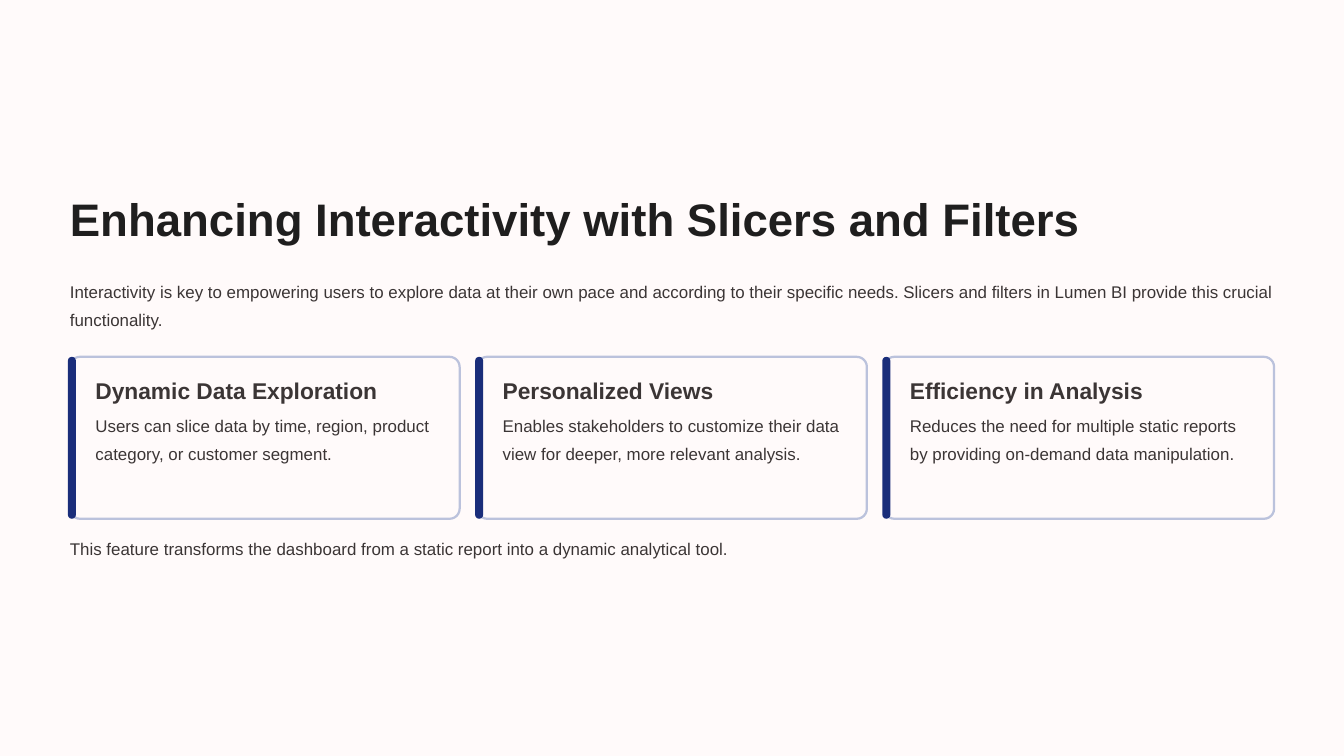
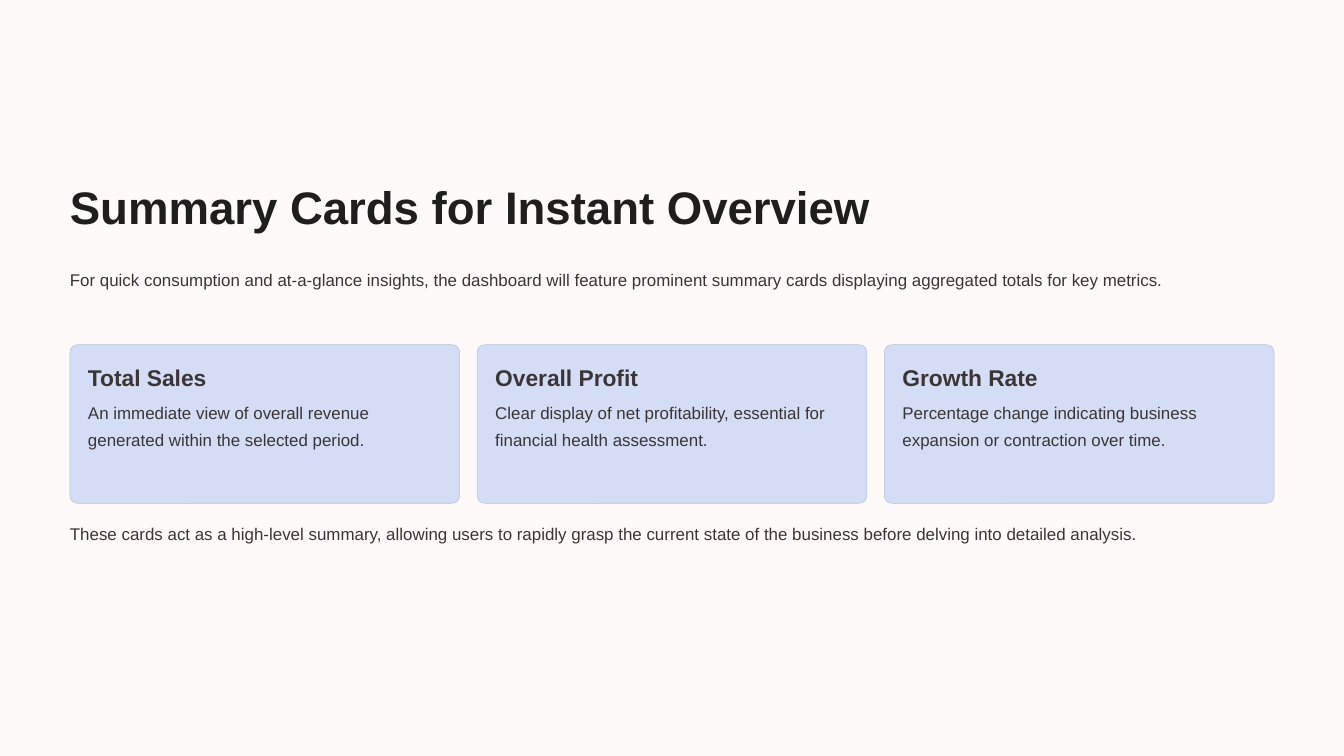
from dataclasses import dataclass

from pptx import Presentation
from pptx import util as u
from pptx.dml.color import RGBColor
from pptx.enum import shapes, text

FONT = "Arial"
PAPER, INK, BODY = "FFFAFA", "1F1E1E", "3B3535"
EDGE, NAVY, PALE = "BBC2DC", "1A2D7A", "D5DCF6"
LEFT, WIDE = 1.04, 17.93
CARD, STEP = 5.8, 6.06
BAR = 0.12

TITLE = dict(size=48.8, lead=61.2, color=INK, bold=True)
HEAD = dict(size=24.4, lead=30.6, bold=True)


@dataclass
class Style:
    """Look of a row of cards; lengths in inches, line in points."""
    fill: str
    line: float
    radius: float
    pad: float
    high: float
    wide: float
    bar: bool = False


@dataclass
class Card:
    head: str
    body: str


@dataclass
class Page:
    title: str
    intro: str
    cards: list[Card]
    close: str
    style: Style
    tops: tuple[float, float, float, float, float, float]


OUTLINE = Style(PAPER, 2.4, 0.15, 0.38, 2.41, 5.13, bar=True)
FILLED = Style(PALE, 0.6, 0.11, 0.27, 2.36, 5.26)

PAGES = [
    Page(
        "Enhancing Interactivity with Slicers and Filters",
        "Interactivity is key to empowering users to explore data at their own pace "
        "and according to their specific needs. Slicers and filters in Lumen BI "
        "provide this crucial functionality.",
        [
            Card("Dynamic Data Exploration",
                 "Users can slice data by time, region, product category, "
                 "or customer segment."),
            Card("Personalized Views",
                 "Enables stakeholders to customize their data view for deeper, "
                 "more relevant analysis."),
            Card("Efficiency in Analysis",
                 "Reduces the need for multiple static reports by providing "
                 "on-demand data manipulation."),
        ],
        "This feature transforms the dashboard from a static report "
        "into a dynamic analytical tool.",
        OUTLINE, (2.8, 4.09, 5.31, 5.59, 6.08, 7.91),
    ),
    Page(
        "Summary Cards for Instant Overview",
        "For quick consumption and at-a-glance insights, the dashboard will feature "
        "prominent summary cards displaying aggregated totals for key metrics.",
        [
            Card("Total Sales",
                 "An immediate view of overall revenue generated "
                 "within the selected period."),
            Card("Overall Profit",
                 "Clear display of net profitability, essential "
                 "for financial health assessment."),
            Card("Growth Rate",
                 "Percentage change indicating business expansion "
                 "or contraction over time."),
        ],
        "These cards act as a high-level summary, allowing users to rapidly grasp "
        "the current state of the business before delving into detailed analysis.",
        FILLED, (2.62, 3.9, 5.13, 5.39, 5.88, 7.68),
    ),
]


def rgb(code: str) -> RGBColor:
    return RGBColor.from_string(code)


def write(slide, words: str, left: float, top: float, wide: float, high: float, *,
          size: float = 18.1, lead: float = 29.4, color: str = BODY,
          bold: bool = False) -> None:
    box = slide.shapes.add_textbox(*map(u.Inches, (left, top, wide, high)))
    frame = box.text_frame
    frame.word_wrap = True
    frame.auto_size = text.MSO_AUTO_SIZE.NONE
    frame.margin_left = frame.margin_right = 0
    frame.margin_top = frame.margin_bottom = 0
    para = frame.paragraphs[0]
    para.line_spacing = u.Pt(lead)
    run = para.add_run()
    run.text = words
    font = run.font
    font.name, font.size, font.bold = FONT, u.Pt(size), bold
    font.color.rgb = rgb(color)


def panel(slide, left: float, top: float, wide: float, high: float, *,
          radius: float, fill: str, line: float = 0) -> None:
    """Draw a rounded box; a line of 0 means no outline."""
    box = slide.shapes.add_shape(shapes.MSO_SHAPE.ROUNDED_RECTANGLE,
                                 *map(u.Inches, (left, top, wide, high)))
    box.shadow.inherit = False
    box.adjustments[0] = radius / min(wide, high)
    box.fill.solid()
    box.fill.fore_color.rgb = rgb(fill)
    if line:
        box.line.color.rgb = rgb(EDGE)
        box.line.width = u.Pt(line)
    else:
        box.line.fill.background()


def build(deck, page: Page) -> None:
    slide = deck.slides.add_slide(deck.slide_layouts[6])
    slide.background.fill.solid()
    slide.background.fill.fore_color.rgb = rgb(PAPER)
    title, intro, top, head, body, close = page.tops
    look = page.style
    write(slide, page.title, LEFT, title, WIDE, 0.87, **TITLE)
    write(slide, page.intro, LEFT, intro, WIDE, 0.93)
    for i, card in enumerate(page.cards):
        left = LEFT + i * STEP
        panel(slide, left, top, CARD, look.high,
              radius=look.radius, fill=look.fill, line=look.line)
        if look.bar:
            panel(slide, left - 0.03, top, BAR, look.high, radius=BAR / 2, fill=NAVY)
        write(slide, card.head, left + look.pad, head, look.wide, 0.44, **HEAD)
        write(slide, card.body, left + look.pad, body, look.wide, 1.35)
    write(slide, page.close, LEFT, close, WIDE, 0.52)


def main() -> None:
    deck = Presentation()
    deck.slide_width, deck.slide_height = u.Inches(20), u.Inches(11.25)
    for page in PAGES:
        build(deck, page)
    deck.save("out.pptx")


if __name__ == "__main__":
    main()
